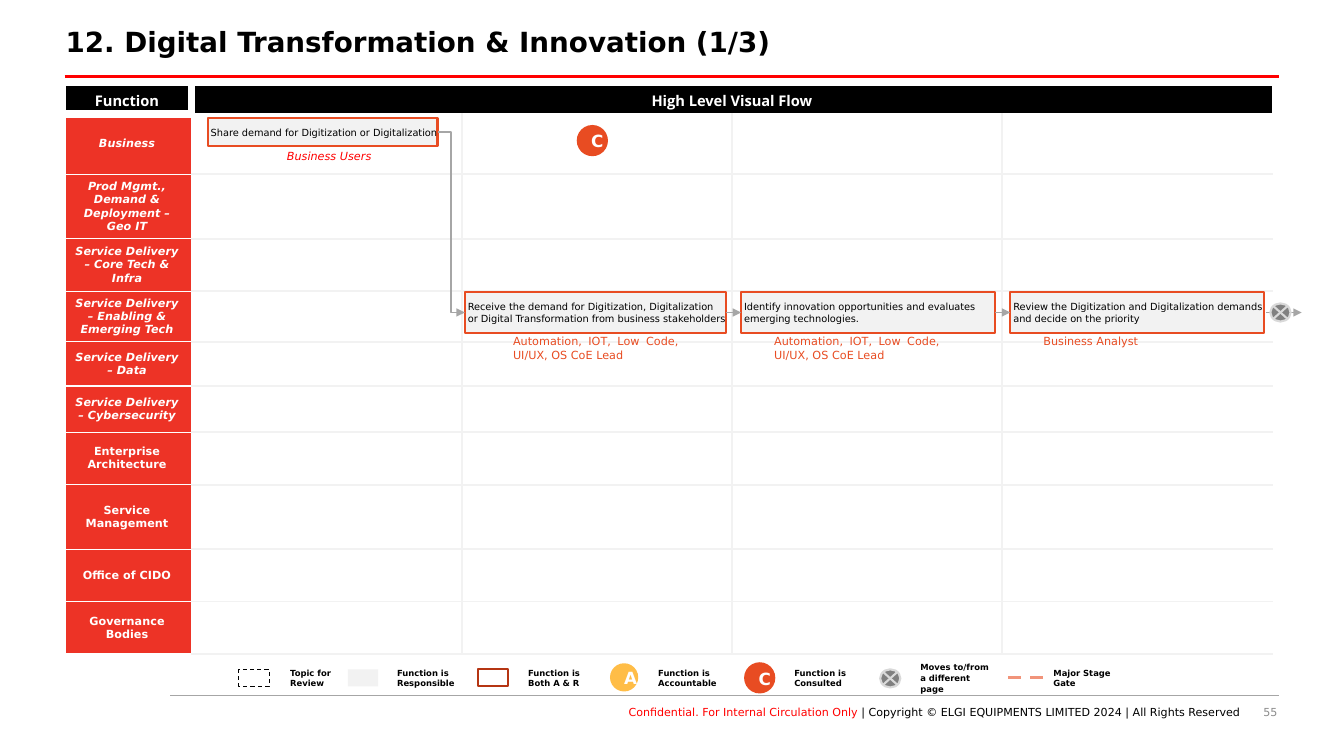
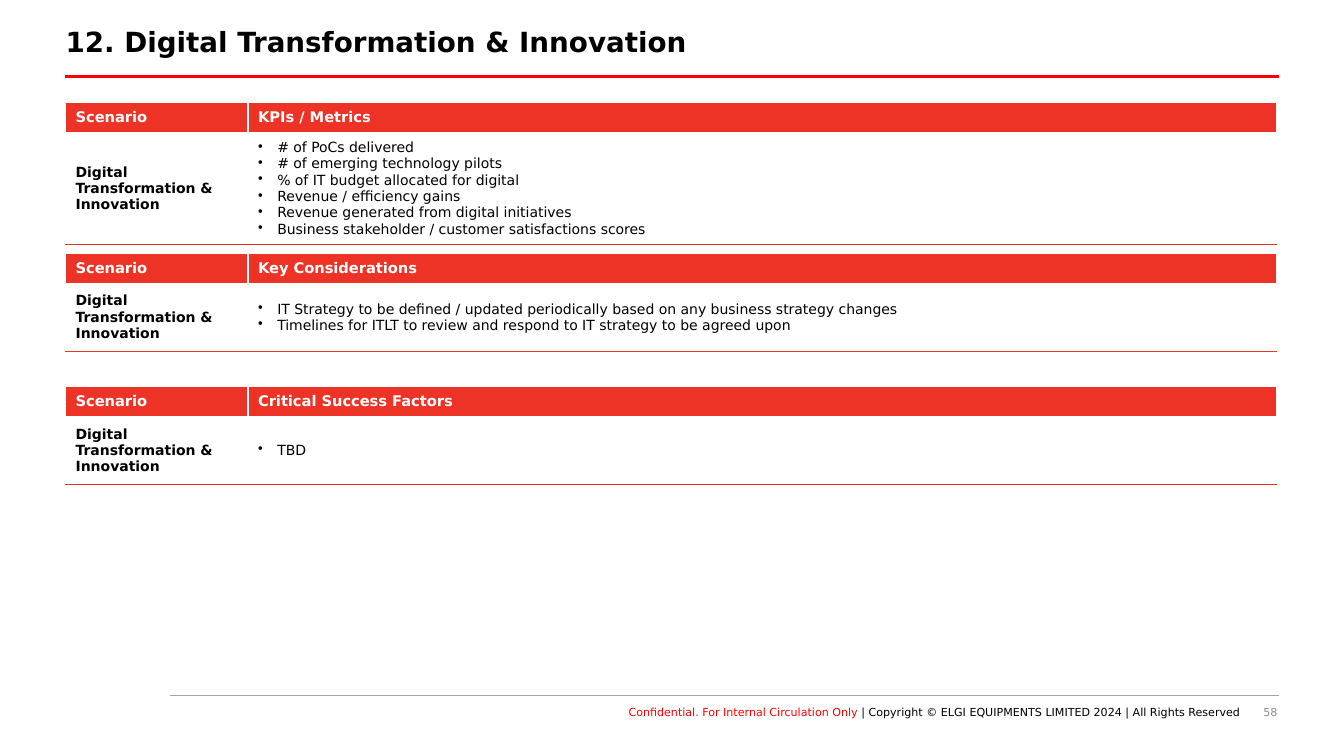
from dataclasses import dataclass
from itertools import pairwise
from typing import Optional

from lxml import etree
from pptx import Presentation
from pptx.dml.color import RGBColor
from pptx.enum import dml, shapes, text
from pptx.oxml import ns
from pptx.util import Inches, Pt

# Shared palette and type
FONT, HEADER_FONT = "DejaVu Sans", "Open Sans"
BLACK, WHITE, RED, BRAND = "000000", "FFFFFF", "FF0000", "ED3326"
ORANGE, AMBER, RUST, SALMON = "E84C22", "FFBD47", "B53513", "F1947A"
PALE, SILVER, GREY, DARK, NUMBER = "F2F2F2", "D9D9D9", "A6A6A6", "808080", "8C8C8C"
SHAPE, ALIGN, ANCHOR = shapes.MSO_SHAPE, text.PP_ALIGN, text.MSO_ANCHOR
Rect = tuple[float, float, float, float]
Point = tuple[float, float]


@dataclass
class Style:
    size: float
    color: str = BLACK
    bold: bool = False
    italic: bool = False
    align: ALIGN = ALIGN.LEFT
    spacing: float = 1.0
    font: str = FONT


@dataclass
class Outline:
    color: str
    width: float
    dashed: bool = False


@dataclass
class Step:
    rect: Rect
    task: str


@dataclass
class Role:
    rect: Rect
    wording: str
    style: Style


@dataclass
class Symbol:
    rect: Rect
    preset: SHAPE
    fill: Optional[str] = None
    outline: Optional[Outline] = None
    letter: str = ""


@dataclass
class Scenario:
    top: float
    body_height: float
    heading: str
    points: list[str]


TITLE = Style(19.8, bold=True, spacing=0.9)
FOOTER = Style(7.9, align=ALIGN.RIGHT)
LEGEND = Style(6, bold=True, spacing=1.06)
LETTER = Style(12, WHITE, bold=True, align=ALIGN.CENTER, spacing=1.06)
TASK = Style(7)
ROLE = Style(8, ORANGE, align=ALIGN.JUSTIFY)
USER_ROLE = Style(8, RED, italic=True, align=ALIGN.CENTER)
FLOW_HEADER = Style(10.5, WHITE, bold=True, align=ALIGN.CENTER, font=HEADER_FONT)
SCENARIO_HEADER = Style(10.5, WHITE, bold=True)
JUNCTION_LINE = Outline(SILVER, 1.5)


# Basic drawing
def rgb(color: str) -> RGBColor:
    return RGBColor.from_string(color)


def style_paragraph(para, style: Style) -> None:
    para.alignment = style.align
    if style.spacing != 1:
        para.line_spacing = style.spacing
    font = para.font
    font.name, font.size = style.font, Pt(style.size)
    font.bold, font.italic = style.bold, style.italic
    font.color.rgb = rgb(style.color)


def add_bullet(para) -> None:
    properties = para._p.get_or_add_pPr()
    properties.set("marL", str(Inches(0.19)))
    properties.set("indent", str(-Inches(0.19)))
    etree.SubElement(properties, ns.qn("a:buChar")).set("char", "•")


def write(frame, lines: list[str], style: Style, bullets: bool = False) -> None:
    frame.text = "\n".join(lines)
    for para in frame.paragraphs:
        if bullets:
            add_bullet(para)
        style_paragraph(para, style)


def set_frame(frame, margins: Rect, anchor: ANCHOR) -> None:
    frame.word_wrap = True
    frame.vertical_anchor = anchor
    (frame.margin_left, frame.margin_top,
     frame.margin_right, frame.margin_bottom) = map(Inches, margins)


def add_text(canvas, rect: Rect, wording: str, style: Style,
             margins: Rect = (0.1, 0.05, 0.1, 0.05), anchor: ANCHOR = ANCHOR.TOP):
    box = canvas.add_textbox(*map(Inches, rect))
    set_frame(box.text_frame, margins, anchor)
    write(box.text_frame, wording.split("\n"), style)
    return box


def set_line(line, outline: Outline) -> None:
    line.color.rgb = rgb(outline.color)
    line.width = Pt(outline.width)
    if outline.dashed:
        line.dash_style = dml.MSO_LINE.DASH


def add_symbol(canvas, symbol: Symbol):
    shape = canvas.add_shape(symbol.preset, *map(Inches, symbol.rect))
    shape.shadow.inherit = False
    if symbol.fill:
        shape.fill.solid()
        shape.fill.fore_color.rgb = rgb(symbol.fill)
    else:
        shape.fill.background()
    if symbol.outline:
        set_line(shape.line, symbol.outline)
    else:
        shape.line.fill.background()
    if symbol.letter:
        set_frame(shape.text_frame, (0.1, 0.1, 0.1, 0.1), ANCHOR.MIDDLE)
        write(shape.text_frame, [symbol.letter], LETTER)
    return shape


def add_line(canvas, start: Point, end: Point, outline: Outline,
             arrow: bool = False, bent: bool = False):
    kind = shapes.MSO_CONNECTOR.ELBOW if bent else shapes.MSO_CONNECTOR.STRAIGHT
    line = canvas.add_connector(kind, *map(Inches, (*start, *end)))
    set_line(line.line, outline)
    if arrow:
        stroke = line.line._get_or_add_ln()
        etree.SubElement(stroke, ns.qn("a:tailEnd")).set("type", "triangle")
    etree.SubElement(line._element.spPr, ns.qn("a:effectLst"))
    return line


# Tables
def style_cell(cell, fill: Optional[str], borders: dict[str, Outline]) -> None:
    properties = cell._tc.get_or_add_tcPr()
    for side in "LRTB":
        if side in borders:
            edge = etree.SubElement(properties, ns.qn(f"a:ln{side}"))
            edge.set("w", str(Pt(borders[side].width)))
            solid = etree.SubElement(edge, ns.qn("a:solidFill"))
            etree.SubElement(solid, ns.qn("a:srgbClr")).set("val", borders[side].color)
    if fill:
        cell.fill.solid()
        cell.fill.fore_color.rgb = rgb(fill)
    else:
        cell.fill.background()
    cell.vertical_anchor = ANCHOR.MIDDLE


def add_grid(canvas, left: float, top: float, widths: list[float], heights: list[float]):
    table = canvas.add_table(len(heights), len(widths), Inches(left), Inches(top),
                             Inches(sum(widths)), Inches(sum(heights))).table
    table.first_row = table.horz_banding = False
    for column, width in zip(table.columns, widths):
        column.width = Inches(width)
    for row, height in zip(table.rows, heights):
        row.height = Inches(height)
    return table


# Title, rules and footer common to both slides
def add_page(deck, title: str, number: int):
    page = deck.slides.add_slide(deck.slide_layouts[6])
    canvas = page.shapes
    no_margin = (0, 0, 0, 0)
    add_text(canvas, (9.67, 7, 3, 0.2), str(number),
             Style(7.9, NUMBER, align=ALIGN.RIGHT), no_margin)
    footer = add_text(canvas, (2.46, 7, 9.84, 0.2), "", FOOTER, no_margin)
    para = footer.text_frame.paragraphs[0]
    warning = para.add_run()
    warning.text = "Conﬁdential. For Internal Circulation Only "
    warning.font.color.rgb = rgb(RED)
    para.add_run().text = "| Copyright © ELGI EQUIPMENTS LIMITED 2024 | All Rights Reserved"
    add_line(canvas, (1.69, 6.9), (12.69, 6.9), Outline(GREY, 0.5))
    add_line(canvas, (0.64, 0.76), (12.69, 0.76), Outline(RED, 2.25))
    add_text(canvas, (0.65, 0.23, 12.01, 0.41), title, TITLE, (0, 0.05, 0.1, 0.05))
    return page


# Swimlane slide
LANES = [
    ("Business", 0.6), ("Prod Mgmt., Demand & Deployment – Geo IT", 0.64),
    ("Service Delivery – Core Tech & Infra", 0.52),
    ("Service Delivery – Enabling & Emerging Tech", 0.5),
    ("Service Delivery – Data", 0.44), ("Service Delivery – Cybersecurity", 0.46),
    ("Enterprise Architecture", 0.52), ("Service Management", 0.64),
    ("Office of CIDO", 0.52), ("Governance Bodies", 0.52),
]
ITALIC_LANES = 6
STEPS = [
    Step((2.06, 1.17, 2.28, 0.28), "Share demand for Digitization or Digitalization"),
    Step((4.61, 2.9, 2.59, 0.4), "Receive the demand for Digitization, Digitalization "
         "or Digital Transformation from business stakeholders"),
    Step((7.35, 2.9, 2.52, 0.4),
         "Identify innovation opportunities and evaluates emerging technologies."),
    Step((10.02, 2.9, 2.52, 0.4),
         "Review the Digitization and Digitalization demands and decide on the priority"),
]
COE_LEAD = "Automation, IOT, Low Code, UI/UX, OS CoE Lead"
ROLES = [
    Role((2.54, 1.43, 1.45, 0.24), "Business Users", USER_ROLE),
    Role((4.99, 3.27, 1.84, 0.37), COE_LEAD, ROLE),
    Role((7.58, 3.27, 1.84, 0.37), COE_LEAD, ROLE),
    Role((10.25, 3.27, 1.84, 0.24), "Business Analyst", ROLE),
]
LEGEND_SYMBOLS = [
    Symbol((2.37, 6.64, 0.3, 0.17), SHAPE.RECTANGLE, outline=Outline(BLACK, 0.75, True)),
    Symbol((3.45, 6.64, 0.3, 0.17), SHAPE.RECTANGLE, PALE),
    Symbol((4.74, 6.64, 0.3, 0.17), SHAPE.RECTANGLE, outline=Outline(RUST, 1.5)),
    Symbol((6.05, 6.58, 0.28, 0.28), SHAPE.OVAL, AMBER, letter="A"),
    Symbol((7.38, 6.57, 0.31, 0.31), SHAPE.OVAL, ORANGE, letter="C"),
    Symbol((8.73, 6.64, 0.2, 0.18), SHAPE.FLOWCHART_SUMMING_JUNCTION, DARK, JUNCTION_LINE),
]
LEGEND_LABELS = [
    (2.78, "Topic for\nReview"), (3.84, "Function is Responsible"),
    (5.14, "Function is Both A & R"), (6.43, "Function is Accountable"),
    (7.78, "Function is Consulted"), (9.03, "Moves to/from a different page"),
    (10.35, "Major Stage Gate"),
]


def add_lanes(canvas) -> None:
    table = add_grid(canvas, 0.62, 0.85, [1.28] + [2.68] * 4,
                     [0.28] + [height for _, height in LANES])
    thick, thin, rule = Outline(WHITE, 6), Outline(WHITE, 1), Outline(PALE, 1.5)
    function, flow = table.cell(0, 0), table.cell(0, 1)
    flow.merge(table.cell(0, 4))
    style_cell(function, BLACK, {"L": thick, "R": thick, "T": thin, "B": thick})
    style_cell(flow, BLACK, {"L": thick, "T": thin})
    write(function.text_frame, ["Function"], FLOW_HEADER)
    write(flow.text_frame, ["High Level Visual Flow"], FLOW_HEADER)
    for row, (name, _) in enumerate(LANES, 1):
        lane = table.cell(row, 0)
        style_cell(lane, BRAND, {"L": thick, "T": thick if row == 1 else thin, "B": thin})
        write(lane.text_frame, [name], Style(8, WHITE, bold=True, align=ALIGN.CENTER,
                                             italic=row <= ITALIC_LANES))
        for column in range(1, 5):
            visible = {"L": column > 1, "R": column < 4, "T": row > 1, "B": True}
            style_cell(table.cell(row, column), None,
                       {side: rule for side, shown in visible.items() if shown})


def add_legend(page) -> None:
    canvas = page.shapes.add_group_shape().shapes
    for symbol in LEGEND_SYMBOLS:
        add_symbol(canvas, symbol)
    add_line(canvas, (10, 6.72), (10.35, 6.72), Outline(SALMON, 2.25, True))
    for left, label in LEGEND_LABELS:
        add_text(canvas, (left, 6.56, 0.9, 0.33), label, LEGEND,
                 (0.1, 0.1, 0.1, 0.1), ANCHOR.MIDDLE)


def add_step(canvas, step: Step):
    box = add_symbol(canvas, Symbol(step.rect, SHAPE.RECTANGLE, PALE, Outline(ORANGE, 1.5)))
    set_frame(box.text_frame, (0.03, 0, 0, 0), ANCHOR.MIDDLE)
    write(box.text_frame, [step.task], TASK)
    return box


def build_flow(deck) -> None:
    page = add_page(deck, "12. Digital Transformation & Innovation (1/3)", 55)
    canvas, arrow_line = page.shapes, Outline(GREY, 1)
    add_lanes(canvas)
    add_legend(page)
    boxes = [add_step(canvas, step) for step in STEPS]
    for source, target in pairwise(boxes):
        arrow = add_line(canvas, (0, 0), (1, 1), arrow_line, arrow=True,
                         bent=source is boxes[0])
        arrow.begin_connect(source, 3)
        arrow.end_connect(target, 1)
    for role in ROLES:
        add_text(canvas, role.rect, role.wording, role.style)
    add_symbol(canvas, Symbol((5.72, 1.24, 0.31, 0.31), SHAPE.OVAL, ORANGE, letter="C"))
    add_line(canvas, (12.56, 3.1), (12.91, 3.1), arrow_line, arrow=True)
    add_symbol(canvas, Symbol((12.6, 3.01, 0.2, 0.18), SHAPE.FLOWCHART_SUMMING_JUNCTION,
                              DARK, JUNCTION_LINE))


# Scenario slide
SCENARIOS = [
    Scenario(1.02, 1.08, "KPIs / Metrics", [
        "# of PoCs delivered", "# of emerging technology pilots",
        "% of IT budget allocated for digital", "Revenue / efficiency gains",
        "Revenue generated from digital initiatives",
        "Business stakeholder / customer satisfactions scores"]),
    Scenario(2.51, 0.68, "Key Considerations", [
        "IT Strategy to be defined / updated periodically based on any business strategy changes",
        "Timelines for ITLT to review and respond to IT strategy to be agreed upon"]),
    Scenario(3.83, 0.68, "Critical Success Factors", ["TBD"]),
]


def add_scenario(canvas, scenario: Scenario) -> None:
    table = add_grid(canvas, 0.65, scenario.top, [1.81, 10.2], [0.3, scenario.body_height])
    sides = dict.fromkeys("LRT", Outline(WHITE, 1))
    for column, heading in enumerate(["Scenario", scenario.heading]):
        style_cell(table.cell(0, column), BRAND, sides)
        write(table.cell(0, column).text_frame, [heading], SCENARIO_HEADER)
        style_cell(table.cell(1, column), None, sides | {"B": Outline(BRAND, 1)})
    write(table.cell(1, 0).text_frame, ["Digital Transformation & Innovation"],
          Style(10, bold=True))
    write(table.cell(1, 1).text_frame, scenario.points, Style(10), bullets=True)


def build_scenarios(deck) -> None:
    page = add_page(deck, "12. Digital Transformation & Innovation", 58)
    for scenario in SCENARIOS:
        add_scenario(page.shapes, scenario)


def main() -> None:
    deck = Presentation()
    deck.slide_width, deck.slide_height = Inches(13.33), Inches(7.5)
    build_flow(deck)
    build_scenarios(deck)
    deck.save("out.pptx")


if __name__ == "__main__":
    main()
